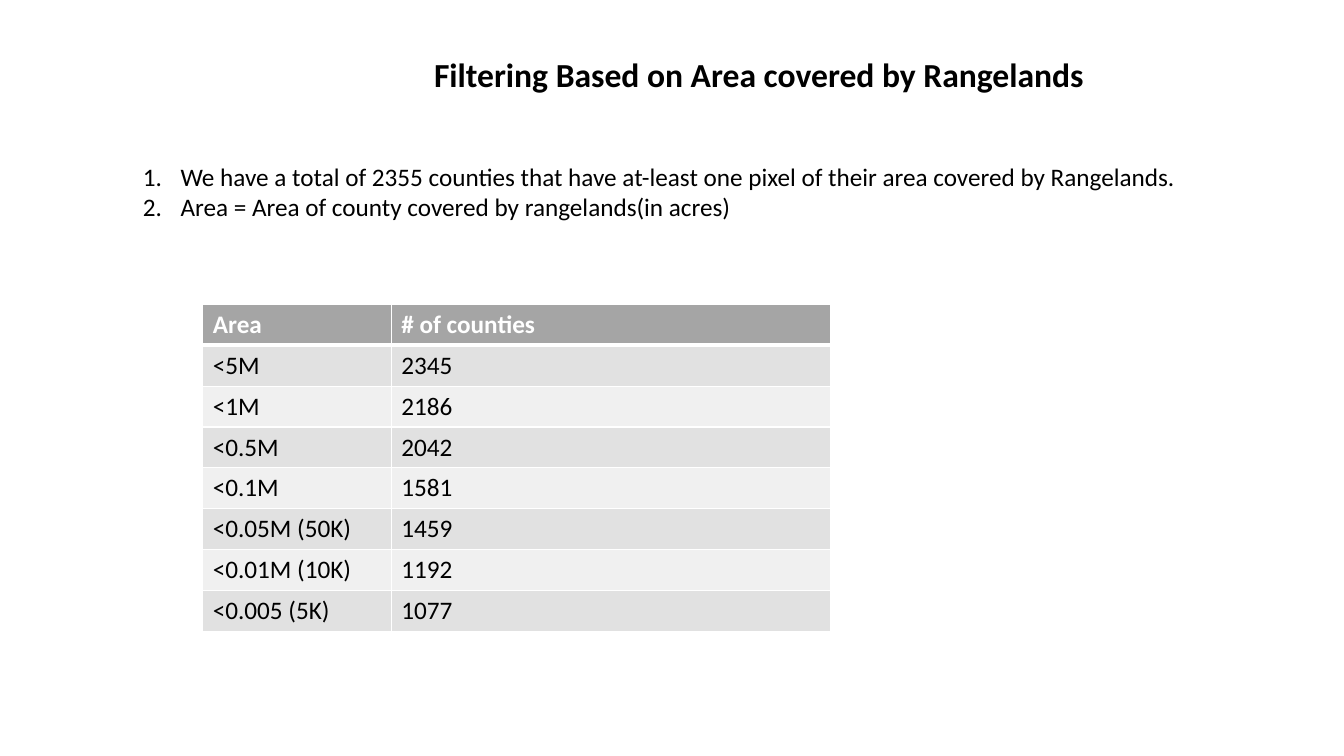
from typing import NamedTuple

import lxml.etree
import pptx
import pptx.dml.color
import pptx.enum.text
import pptx.oxml.ns
import pptx.util

Cm = pptx.util.Cm
Pt = pptx.util.Pt
RGBColor = pptx.dml.color.RGBColor
qn = pptx.oxml.ns.qn

FONT = "Calibri"
BLACK = RGBColor(0x00, 0x00, 0x00)
WHITE = RGBColor(0xFF, 0xFF, 0xFF)
HEADER_GRAY = RGBColor(0xA5, 0xA5, 0xA5)
BAND_GRAYS = (RGBColor(0xE1, 0xE1, 0xE1), RGBColor(0xF0, 0xF0, 0xF0))


class TextBlock(NamedTuple):
    left: float
    top: float
    width: float
    height: float
    lines: tuple[str, ...]
    size: int
    bold: bool = False
    centered: bool = False
    numbered: bool = False


class AreaCount(NamedTuple):
    area: str
    counties: str


NOTES = TextBlock(3.35, 3.94, 27.13, 1.8, (
    "We have a total of 2355 counties that have at-least one pixel of their area covered by Rangelands.",
    "Area = Area of county covered by rangelands(in acres)",
), 18, numbered=True)
TITLE = TextBlock(10.06, 1.24, 18.14, 1.27,
                  ("Filtering Based on Area covered by Rangelands",),
                  24, bold=True, centered=True)

HEADER = AreaCount("Area", "# of counties")
COUNTS = (
    AreaCount("<5M", "2345"),
    AreaCount("<1M", "2186"),
    AreaCount("<0.5M", "2042"),
    AreaCount("<0.1M", "1581"),
    AreaCount("<0.05M (50K)", "1459"),
    AreaCount("<0.01M (10K)", "1192"),
    AreaCount("<0.005 (5K)", "1077"),
)
COLUMN_WIDTHS = (4.75, 11.07)
ROW_HEIGHT = 1.03


def add_run(p, text: str, size: int, color: RGBColor, bold: bool) -> None:
    r = p.add_run()
    r.text = text
    r.font.name = FONT
    r.font.size = Pt(size)
    r.font.bold = bold
    r.font.color.rgb = color


def number_paragraph(p) -> None:
    pPr = p._p.get_or_add_pPr()
    indent = Cm(0.95)
    pPr.set("marL", str(indent))
    pPr.set("indent", str(-indent))
    lxml.etree.SubElement(pPr, qn("a:buFont"), typeface="+mj-lt")
    lxml.etree.SubElement(pPr, qn("a:buAutoNum"), type="arabicPeriod")


def add_text(slide, block: TextBlock) -> None:
    sp = slide.shapes.add_textbox(Cm(block.left), Cm(block.top),
                                  Cm(block.width), Cm(block.height))
    tf = sp.text_frame
    tf.word_wrap = True
    tf.auto_size = pptx.enum.text.MSO_AUTO_SIZE.SHAPE_TO_FIT_TEXT
    for i, line in enumerate(block.lines):
        p = tf.add_paragraph() if i else tf.paragraphs[0]
        if block.centered:
            p.alignment = pptx.enum.text.PP_ALIGN.CENTER
        if block.numbered:
            number_paragraph(p)
        add_run(p, line, block.size, BLACK, block.bold)


def set_borders(cell, top: int, bottom: int) -> None:
    tcPr = cell._tc.get_or_add_tcPr()
    for side, width in (("L", 1), ("R", 1), ("T", top), ("B", bottom)):
        ln = lxml.etree.SubElement(tcPr, qn(f"a:ln{side}"), w=str(Pt(width)))
        fill = lxml.etree.SubElement(ln, qn("a:solidFill"))
        lxml.etree.SubElement(fill, qn("a:srgbClr"), val=str(WHITE))


def add_counts_table(slide) -> None:
    rows = (HEADER, *COUNTS)
    table = slide.shapes.add_table(
        len(rows), len(COLUMN_WIDTHS), Cm(5.11), Cm(7.67),
        Cm(sum(COLUMN_WIDTHS)), Cm(ROW_HEIGHT * len(rows))).table
    for column, width in zip(table.columns, COLUMN_WIDTHS):
        column.width = Cm(width)
    for i, row in enumerate(rows):
        is_header = i == 0
        table.rows[i].height = Cm(ROW_HEIGHT)
        for j, text in enumerate(row):
            cell = table.cell(i, j)
            # The thick rule lies between the header and the first count
            set_borders(cell, top=3 if i == 1 else 1, bottom=3 if is_header else 1)
            cell.fill.solid()
            cell.fill.fore_color.rgb = HEADER_GRAY if is_header else BAND_GRAYS[(i - 1) % 2]
            add_run(cell.text_frame.paragraphs[0], text, 18,
                    WHITE if is_header else BLACK, is_header)


def main() -> None:
    prs = pptx.Presentation()
    prs.slide_width = Cm(33.87)
    prs.slide_height = Cm(19.05)
    slide = prs.slides.add_slide(prs.slide_layouts[6])

    # Numbered notes, table of counts, title
    add_text(slide, NOTES)
    add_counts_table(slide)
    add_text(slide, TITLE)

    prs.save("out.pptx")


if __name__ == "__main__":
    main()
